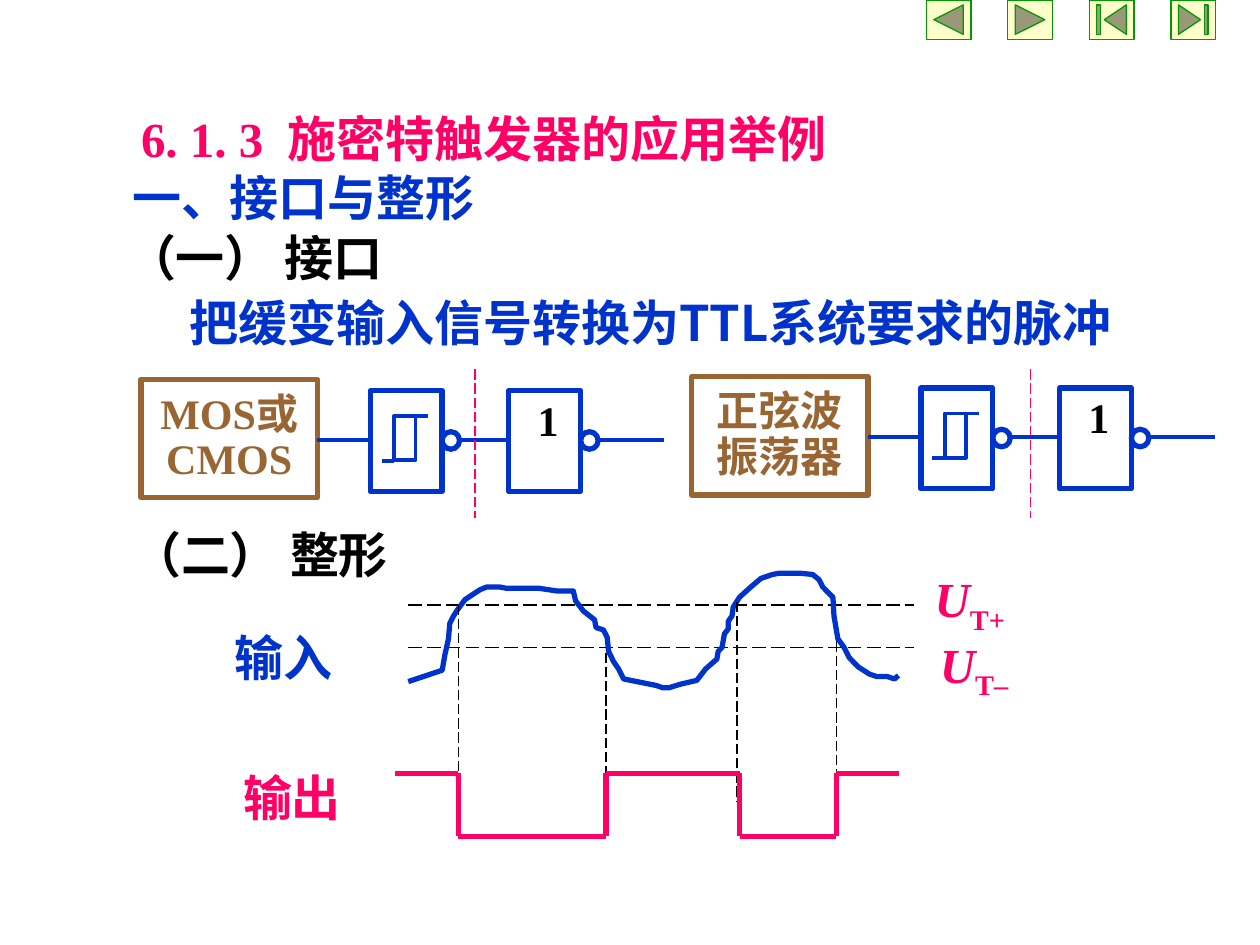
from itertools import pairwise

from lxml.etree import SubElement
from pptx import Presentation
from pptx.dml.color import RGBColor
from pptx.enum.dml import MSO_LINE
from pptx.enum.shapes import MSO_CONNECTOR, MSO_SHAPE as Preset
from pptx.enum.text import MSO_ANCHOR, MSO_AUTO_SIZE, PP_ALIGN
from pptx.oxml.ns import qn
from pptx.util import Pt

COLORS = {"pink": "FF0066", "blue": "0033CC", "black": "000000", "brown": "996633",
          "white": "FFFFFF", "cream": "FFFFCC", "green": "009900"}
SERIF, SANS = "Times New Roman", "Noto Sans CJK SC"

TITLE = ("6. 1. 3  施密特触发器的应用举例", (73.4, 58.3, 431.3, 41), "pink", SERIF)
TEXTS = [
    ("一、接口与整形", (68.4, 92.2, 258.5, 41), "blue", SERIF),
    ("（一） 接口", (65.5, 126.7, 219.6, 41), "black", SERIF),
    ("把缓变输入信号转换为TTL系统要求的脉冲", (101.5, 163.4, 578.9, 41), "blue", SANS),
    ("（二） 整形", (68.4, 295.9, 215.3, 41), "black", SERIF),
    ("输入", (126.7, 355, 85.7, 41), "blue", SANS),
    ("输出", (131.8, 434.9, 103, 41), "pink", SERIF),
]
THRESHOLDS = [("T+", 527, 321.6), ("T–", 530, 359)]
CIRCUITS = [
    (80.6, 216.7, "MOS或\nCMOS", 271.4),
    (395.3, 215.3, "正弦波\n振荡器", 589),
]
INPUT_CURVE = [
    (233.3, 389.5), (252.7, 383), (254.2, 374.4), (256.3, 365), (257, 356.4), (259.2, 352),
    (261.4, 348.5), (265.7, 342.7), (270, 339.8), (274.3, 337), (278, 335.5), (285.8, 335.5),
    (289.4, 336.2), (308.2, 336.2), (318.2, 337.7), (327.6, 337.7), (329, 343.4),
    (333.4, 349.2), (339.8, 354.2), (340.6, 358.6), (344.9, 360), (347, 364.3),
    (347.8, 372.2), (350.6, 378), (353.5, 382.3), (356.4, 388), (375, 391.7), (378.7, 393),
    (382.3, 393), (388.8, 391), (398.2, 388.8), (403.2, 382.3), (409.7, 376.6),
    (410.4, 372.2), (412.6, 370), (414, 362.2), (416.2, 359.3), (416.2, 355), (418.3, 352),
    (419, 347), (422.6, 341.3), (429, 335.5), (434.9, 330.5), (441.4, 328.3), (445, 327.6),
    (457.9, 327.6), (464.4, 328.3), (468, 331.2), (470.2, 335.5), (476, 341.3),
    (476.6, 352), (478.8, 365), (482.4, 370), (485.3, 375.8), (490.3, 381), (496.8, 385.2),
    (501, 386.6), (507, 386.6), (511.2, 388), (513.4, 386),
]
THRESHOLD_LEVELS = [345.6, 370]
CROSSINGS = [(262, 345.6, 460), (346.3, 373, 460), (421.2, 344, 458), (478, 366.5, 474.5)]
OUTPUT_EDGES = [226, 262, 346.3, 422.6, 478, 514]
OUTPUT_LEVELS = [442, 478]
BUTTONS = [Preset.ACTION_BUTTON_BACK_OR_PREVIOUS, Preset.ACTION_BUTTON_FORWARD_OR_NEXT,
           Preset.ACTION_BUTTON_BEGINNING, Preset.ACTION_BUTTON_END]


def color(name):
    return RGBColor.from_string(COLORS[name])


def points(values):
    return [Pt(value) for value in values]


def style_runs(paragraph, size, color_name, font=SERIF):
    for run in paragraph.runs:
        run.font.size = Pt(size)
        run.font.bold = True
        run.font.name = font
        run.font.color.rgb = color(color_name)
        SubElement(run.font._element, qn("a:ea"), typeface=SANS)


def write(shape, text, color_name, font=SERIF, size=28, wrap=True):
    text_frame = shape.text_frame
    text_frame.text = text
    text_frame.word_wrap = wrap
    text_frame.auto_size = MSO_AUTO_SIZE.NONE
    text_frame.vertical_anchor = MSO_ANCHOR.TOP
    for paragraph in text_frame.paragraphs:
        paragraph.alignment = PP_ALIGN.LEFT
        style_runs(paragraph, size, color_name, font)


def add_text(slide, text, box, *style, **options):
    shape = slide.shapes.add_textbox(*points(box))
    write(shape, text, *style, **options)
    return shape


def add_line(slide, start, end, color_name, width, dashed=False):
    line = slide.shapes.add_connector(MSO_CONNECTOR.STRAIGHT, *points(start + end))
    line.line.color.rgb = color(color_name)
    line.line.width = Pt(width)
    if dashed:
        line.line.dash_style = MSO_LINE.LONG_DASH
    SubElement(line._element.spPr, qn("a:effectLst"))


def add_outline(slide, preset, box, line="blue", width=3, fill="white"):
    shape = slide.shapes.add_shape(preset, *points(box))
    shape.shadow.inherit = False
    shape.fill.solid()
    shape.fill.fore_color.rgb = color(fill)
    shape.line.color.rgb = color(line)
    shape.line.width = Pt(width)
    return shape


def add_circuit(slide, left, top, source_text, divider):
    def box(x, y, width, height):
        return left + x, top + y, width, height

    def wire(x1, x2, y):
        add_line(slide, (left + x1, top + y), (left + x2, top + y), "blue", 2.25)

    source = add_outline(slide, Preset.RECTANGLE, box(0, 0, 100.8, 67.7), "brown")
    write(source, source_text, "brown", size=24, wrap=False)
    source.text_frame.vertical_anchor = MSO_ANCHOR.MIDDLE
    for paragraph in source.text_frame.paragraphs:
        paragraph.alignment = PP_ALIGN.CENTER
        paragraph.line_spacing = 0.9
    wire(100.8, 298.8, 34.6)
    for gate in (131, 210.2):
        add_outline(slide, Preset.RECTANGLE, box(gate, 6.5, 41, 57.6))
        add_outline(slide, Preset.OVAL, box(gate + 41, 30, 10, 10))
    add_outline(slide, Preset.RECTANGLE, box(144.7, 21, 12.2, 25.2), width=2.25)
    wire(156.9, 164.2, 21)
    wire(137.5, 144.7, 46.5)
    add_text(slide, "1", box(219.6, 5, 26, 36), "black", size=24, wrap=False)
    add_line(slide, (divider, 211), (divider, 296), "pink", 0.75, True)


def add_waveforms(slide):
    for level in THRESHOLD_LEVELS:
        add_line(slide, (233.3, level), (522, level), "black", 1, True)
    curve_points = [tuple(points(point)) for point in INPUT_CURVE]
    builder = slide.shapes.build_freeform(*curve_points[0])
    builder.add_line_segments(curve_points[1:], close=False)
    curve = builder.convert_to_shape()
    curve.shadow.inherit = False
    curve.fill.background()
    curve.line.color.rgb = color("blue")
    curve.line.width = Pt(3)
    for x, top, bottom in CROSSINGS:
        add_line(slide, (x, top), (x, bottom), "black", 0.75, True)
    corners = []
    for index, (start, end) in enumerate(pairwise(OUTPUT_EDGES)):
        level = OUTPUT_LEVELS[index % 2]
        corners += [(start, level), (end, level)]
    for start, end in pairwise(corners):
        add_line(slide, start, end, "pink", 3)


def add_threshold_label(slide, subscript, left, top):
    shape = add_text(slide, "U", (left, top, 64, 38), "pink")
    paragraph = shape.text_frame.paragraphs[0]
    paragraph.add_run().text = subscript
    style_runs(paragraph, 28, "pink")
    symbol, suffix = paragraph.runs
    for extra in symbol.font._element.findall(qn("a:ea"))[1:]:
        symbol.font._element.remove(extra)
    symbol.font.italic = True
    suffix.font._element.set("baseline", "-25000")


def main():
    presentation = Presentation()
    presentation.slide_width, presentation.slide_height = Pt(720), Pt(540)
    slide = presentation.slides.add_slide(presentation.slide_layouts[5])
    title = slide.shapes.title
    text, box, *style = TITLE
    title.left, title.top, title.width, title.height = points(box)
    write(title, text, *style)
    for text, box, *style in TEXTS:
        add_text(slide, text, box, *style)
    for circuit in CIRCUITS:
        add_circuit(slide, *circuit)
    add_waveforms(slide)
    for label in THRESHOLDS:
        add_threshold_label(slide, *label)
    for index, preset in enumerate(BUTTONS):
        add_outline(slide, preset, (529.3 + 46.6 * index, 0, 25.5, 22.5),
                    "green", 0.75, "cream")
    presentation.save("out.pptx")


if __name__ == "__main__":
    main()
